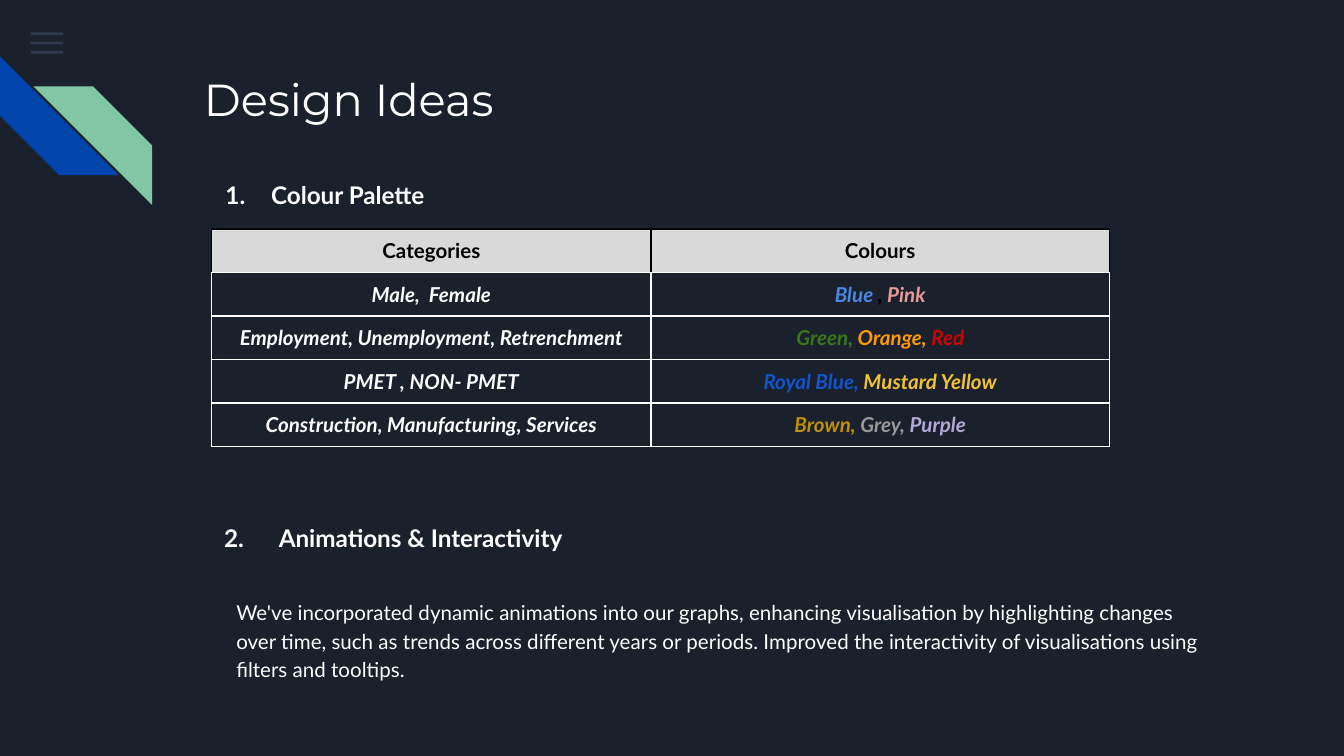
"""Build the Design Ideas slide."""
from lxml import etree
from pptx import Presentation
from pptx import util as u
from pptx.dml.color import RGBColor
from pptx.enum import shapes, text
from pptx.oxml.ns import qn

Pt = u.Pt
DARK = RGBColor(0x1B, 0x21, 0x2C)
SLATE = RGBColor(0x55, 0x68, 0x8B)
NAVY = RGBColor(0x01, 0x45, 0xAC)
MINT = RGBColor(0x82, 0xC7, 0xA5)
WHITE = RGBColor(0xFF, 0xFF, 0xFF)
BLACK = RGBColor(0, 0, 0)
SILVER = RGBColor(0xD9, 0xD9, 0xD9)
BLUE = RGBColor(0x4A, 0x86, 0xE8)
PINK = RGBColor(0xEA, 0x99, 0x99)
GREEN = RGBColor(0x38, 0x76, 0x1D)
ORANGE = RGBColor(0xFF, 0x99, 0x00)
RED = RGBColor(0xCC, 0, 0)
ROYAL = RGBColor(0x11, 0x55, 0xCC)
MUSTARD = RGBColor(0xF1, 0xC2, 0x32)
BROWN = RGBColor(0xBF, 0x90, 0x00)
GREY = RGBColor(0x99, 0x99, 0x99)
PURPLE = RGBColor(0xB4, 0xA7, 0xD6)

ROWS = [
    ("Male,  Female", [("Blue", BLUE), (" , ", BLACK), ("Pink", PINK)]),
    ("Employment, Unemployment, Retrenchment",
     [("Green, ", GREEN), ("Orange, ", ORANGE), ("Red", RED)]),
    ("PMET , NON- PMET", [("Royal Blue, ", ROYAL), ("Mustard Yellow", MUSTARD)]),
    ("Construction, Manufacturing, Services",
     [("Brown, ", BROWN), ("Grey, ", GREY), ("Purple", PURPLE)]),
]


def add(node, tag, **attrs):
    return etree.SubElement(node, qn(tag), attrs)


class Deck:
    """Hold the style and the current slide."""

    def __init__(self, slide, face="Lato", ink=WHITE):
        self.slide, self.face, self.ink = slide, face, ink
        fill = slide.background.fill
        fill.solid()
        fill.fore_color.rgb = DARK

    def shape(self, kind, left, top, width, height, color):
        form = self.slide.shapes.add_shape(
            kind, Pt(left), Pt(top), Pt(width), Pt(height))
        form.shadow.inherit = False
        form.fill.solid()
        form.fill.fore_color.rgb = color
        form.line.fill.background()
        return form

    def bar(self, top):
        form = self.shape(shapes.MSO_SHAPE.RECTANGLE, 16.6, top, 17.3, 1.5, SLATE)
        shade = form.fill._xPr.find(".//" + qn("a:srgbClr"))
        add(shade, "a:alpha", val="36000")

    def stripe(self, left, top, color, turn=0, flip=False):
        form = self.shape(shapes.MSO_SHAPE.DIAGONAL_STRIPE, left, top, 63.6, 63.6, color)
        form.rotation = turn
        if flip:
            form._element.spPr.find(qn("a:xfrm")).set("flipH", "1")

    def style(self, para, size, bold=False, face=None):
        font = para.font
        font.name, font.size, font.bold = face or self.face, Pt(size), bold
        font.color.rgb = self.ink

    def text(self, left, top, width, height, words):
        box = self.slide.shapes.add_textbox(Pt(left), Pt(top), Pt(width), Pt(height))
        frame = box.text_frame
        frame.word_wrap = True
        frame.margin_left = frame.margin_right = Pt(7.2)
        frame.margin_top = frame.margin_bottom = Pt(7.2)
        para = frame.paragraphs[0]
        para.text = words
        return para

    def title(self, words):
        para = self.text(102.2, 31, 554.4, 72, words)
        self.style(para, 24, face="Montserrat")

    def head(self, left, top, words, start, margin, hang):
        para = self.text(left, top, 257.8, 33.8, words)
        props = para._p.get_or_add_pPr()
        props.set("marL", str(Pt(margin)))
        props.set("indent", str(-Pt(hang)))
        add(add(props, "a:buClr"), "a:srgbClr", val=str(self.ink))
        add(props, "a:buFont", typeface=self.face)
        add(props, "a:buAutoNum", type="arabicPeriod", startAt=str(start))
        self.style(para, 13, bold=True)

    def body(self, words):
        para = self.text(119.5, 312.5, 537.1, 58.3, words)
        para.line_spacing = 1.15
        self.style(para, 11)

    def cell(self, cell, parts, header=False):
        cell.margin_left = cell.margin_right = Pt(5)
        cell.margin_top = cell.margin_bottom = Pt(5)
        props = cell._tc.get_or_add_tcPr()
        for side in "LRTB":
            color = BLACK if header and side != "B" else WHITE
            line = add(props, "a:ln" + side, w=str(Pt(1)))
            add(add(line, "a:solidFill"), "a:srgbClr", val=str(color))
        if header:
            cell.fill.solid()
            cell.fill.fore_color.rgb = SILVER
        else:
            cell.fill.background()
        para = cell.text_frame.paragraphs[0]
        para.alignment = text.PP_ALIGN.CENTER
        self.style(para, 11, bold=True)
        para.font.italic = not header
        for words, color in parts:
            run = para.add_run()
            run.text = words
            run.font.color.rgb = color

    def table(self, left, top, widths, tall, names, rows):
        count = len(rows) + 1
        grid = self.slide.shapes.add_table(
            count, len(widths), Pt(left), Pt(top), Pt(sum(widths)), Pt(tall * count)).table
        grid.first_row = grid.horz_banding = False
        for col, width in zip(grid.columns, widths):
            col.width = Pt(width)
        for row in grid.rows:
            row.height = Pt(tall)
        for col, name in enumerate(names):
            self.cell(grid.cell(0, col), [(name, BLACK)], header=True)
        for row, (label, parts) in enumerate(rows, 1):
            self.cell(grid.cell(row, 0), [(label, self.ink)])
            self.cell(grid.cell(row, 1), parts)


def main():
    show = Presentation()
    show.slide_width, show.slide_height = Pt(720), Pt(405)
    deck = Deck(show.slides.add_slide(show.slide_layouts[6]))
    for step in range(3):
        deck.bar(17.3 + 5 * step)
    deck.stripe(0, 30.2, NAVY, turn=270)
    deck.stripe(18, 46.3, MINT, flip=True)
    deck.title("Design Ideas")
    deck.table(113.4, 122.8, (235.4, 245.5), 23.3, ("Categories", "Colours"), ROWS)
    deck.head(102.2, 89.3, "Colour Palette", 1, 36, 24.5)
    deck.head(113, 272.9, "Animations & Interactivity", 2, 29.3, 29.3)
    deck.body("We've incorporated dynamic animations into our graphs, enhancing "
              "visualisation by highlighting changes over time, such as trends across "
              "different years or periods. Improved the interactivity of visualisations "
              "using filters and tooltips.")
    show.save("out.pptx")


if __name__ == "__main__":
    main()
